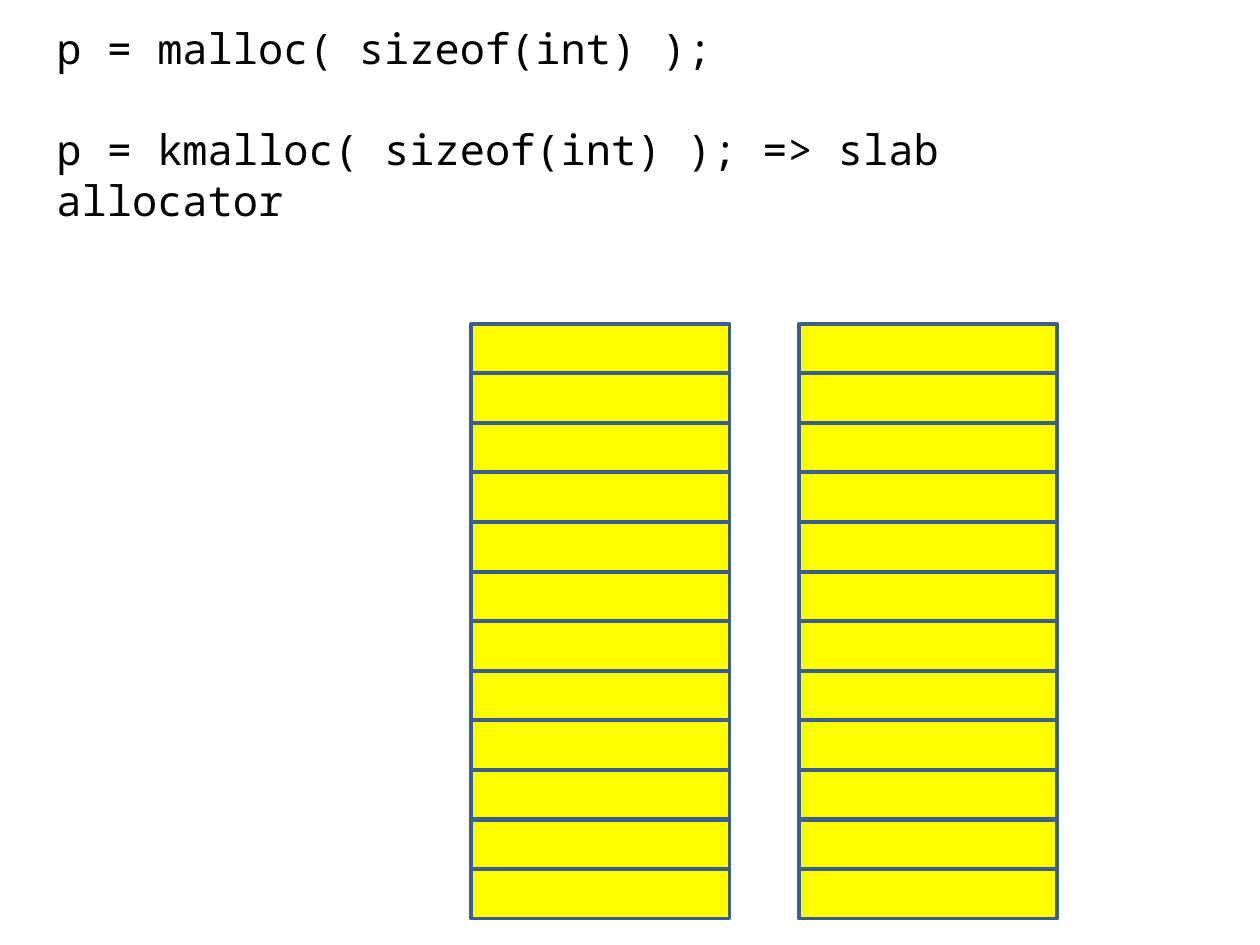
from pptx import Presentation
from pptx.util import Inches, Pt
from pptx.dml.color import RGBColor
from pptx.enum.shapes import MSO_SHAPE as Shape
from pptx.enum.text import MSO_AUTO_SIZE as Auto


def color(code):
    return RGBColor.from_string(code)


deck = Presentation()
deck.slide_width = Inches(10)
deck.slide_height = Inches(7.5)
slide = deck.slides.add_slide(deck.slide_layouts[6])

box = slide.shapes.add_textbox(Inches(0.35), Inches(0.13), Inches(8.56), Inches(1.31))
frame = box.text_frame
frame.word_wrap = True
frame.auto_size = Auto.SHAPE_TO_FIT_TEXT
calls = ["p = malloc( sizeof(int) );", "p = kmalloc( sizeof(int) ); => slab allocator"]
for i, call in enumerate(calls):
    para = frame.add_paragraph() if i else frame.paragraphs[0]
    para.space_before = Pt(29 * i)
    run = para.add_run()
    run.text = call
    run.font.size = Pt(24)
    run.font.name = "Noto Sans Mono"
    run.font.color.rgb = color("000000")

top, pitch, rows = 2.57, 0.39364, 12
pitch = round((6.9 - top) / (rows - 1), 4)
for left in (3.74, 6.34):
    for row in range(rows):
        cell = slide.shapes.add_shape(
            Shape.RECTANGLE, Inches(left), Inches(top + row * pitch), Inches(2.05), Inches(0.39)
        )
        cell.shadow.inherit = False
        cell.fill.solid()
        cell.fill.fore_color.rgb = color("FFFF00")
        cell.line.color.rgb = color("3A5F8C")
        cell.line.width = Pt(2)

deck.save("out.pptx")
